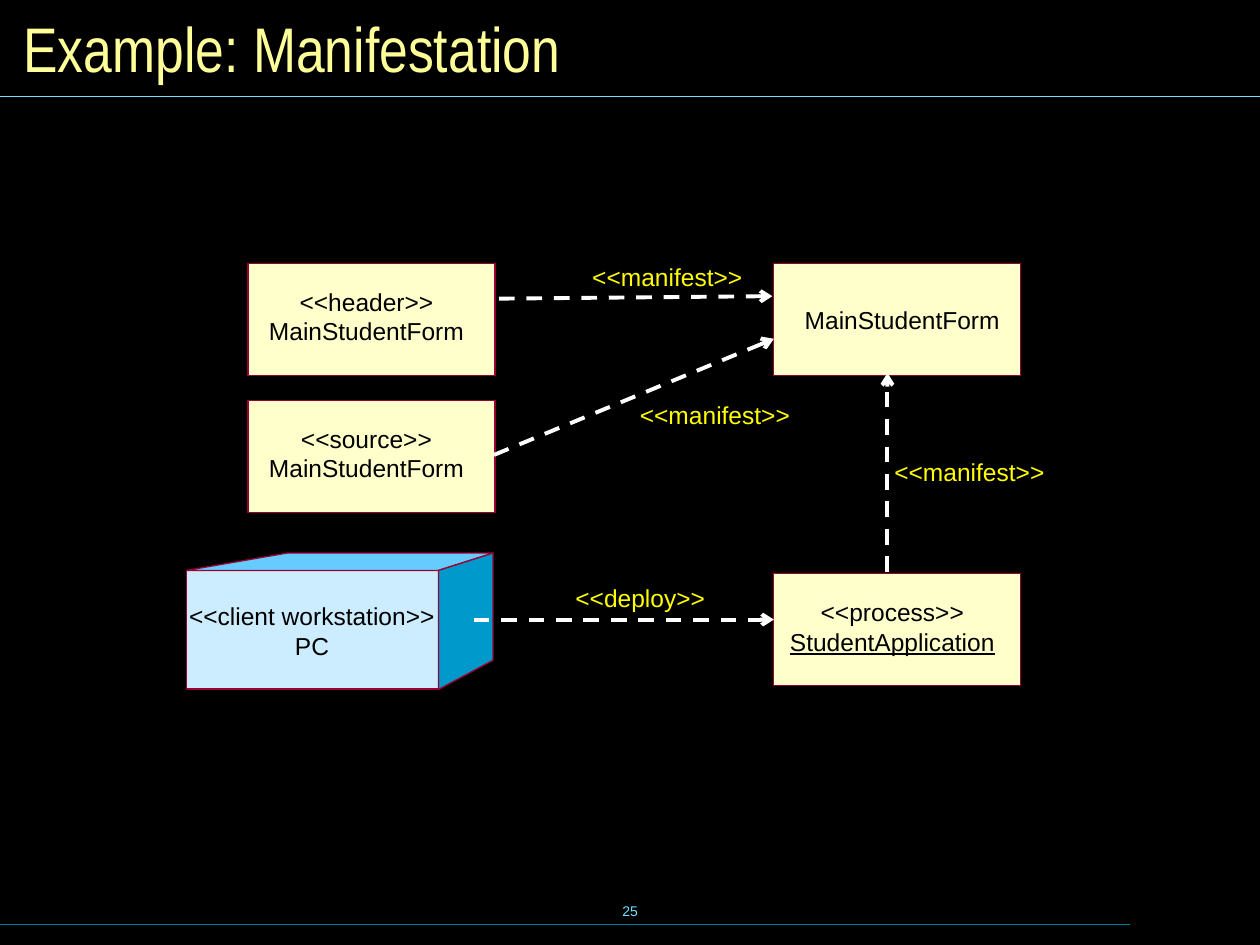
from pptx import Presentation
from pptx import util as u
from pptx.dml.color import RGBColor
from pptx.enum import dml, shapes, text
from pptx.oxml import ns
from lxml import etree

BLACK = RGBColor(0x00, 0x00, 0x00)
WHITE = RGBColor(0xFF, 0xFF, 0xFF)
YELLOW = RGBColor(0xFF, 0xFF, 0x00)
PALE_YELLOW = RGBColor(0xFF, 0xFF, 0x99)
CREAM = RGBColor(0xFF, 0xFF, 0xCC)
MAROON = RGBColor(0x99, 0x00, 0x33)
CYAN = RGBColor(0x73, 0xE1, 0xFF)
TEAL = RGBColor(0x00, 0x7E, 0x9F)
CUBE_FRONT = RGBColor(0xCC, 0xEC, 0xFF)
CUBE_TOP = RGBColor(0x66, 0xCC, 0xFF)
CUBE_SIDE = RGBColor(0x00, 0x99, 0xCC)

CENTER, LEFT = text.PP_ALIGN.CENTER, text.PP_ALIGN.LEFT
NO_MARGINS = dict.fromkeys(
    ["margin_left", "margin_top", "margin_right", "margin_bottom"], 0)


def write(shape, lines, frame_format, font_format, color, alignment):
    frame = shape.text_frame
    for name, value in frame_format.items():
        setattr(frame, name, value)
    frame.text = "\n".join(lines)
    for paragraph in frame.paragraphs:
        paragraph.alignment = alignment
        font = paragraph.runs[0].font
        for name, value in font_format.items():
            setattr(font, name, value)
        font.color.rgb = color


def paint(shape, color):
    shape.shadow.inherit = False
    shape.fill.solid()
    shape.fill.fore_color.rgb = color
    shape.line.color.rgb = MAROON
    shape.line.width = u.Pt(0)


presentation = Presentation()
presentation.slide_width, presentation.slide_height = u.Cm(25.4), u.Cm(19.05)
slide = presentation.slides.add_slide(presentation.slide_layouts[5])
slide.background.fill.solid()
slide.background.fill.fore_color.rgb = BLACK

title = slide.shapes.title
title_place = {"left": 0.22, "top": 0.22, "width": 24.99, "height": 1.47}
for name, value in title_place.items():
    setattr(title, name, u.Cm(value))
middle = {"vertical_anchor": text.MSO_ANCHOR.MIDDLE,
          "auto_size": text.MSO_AUTO_SIZE.NONE}
write(title, ["Example: Manifestation"], {**middle, "word_wrap": True},
      {"name": "Arial Narrow", "size": u.Pt(36), "bold": False},
      PALE_YELLOW, LEFT)

page_number = slide.shapes.add_textbox(
    u.Cm(8.68), u.Cm(17.73), u.Cm(8.05), u.Cm(1.27))
write(page_number, ["25"], {**middle, "word_wrap": False},
      {"name": "Arial", "size": u.Pt(8)}, CYAN, CENTER)

box_width, box_height = 4.98, 2.26
rectangles = [
    (3.76, 11.5, 5.08, 2.39, CUBE_FRONT),
    (15.6, 11.56, box_width, box_height, CREAM),
    (15.6, 5.31, box_width, box_height, CREAM),
    (5, 5.31, box_width, box_height, CREAM),
    (5, 8.08, box_width, box_height, CREAM),
]
for *place, color in rectangles:
    rectangle = slide.shapes.add_shape(
        shapes.MSO_SHAPE.RECTANGLE, *map(u.Cm, place))
    paint(rectangle, color)

cube_faces = [
    ([(3.76, 11.5), (5.79, 11.15), (9.94, 11.15), (8.84, 11.5)], CUBE_TOP),
    ([(8.84, 11.5), (9.94, 11.15), (9.94, 13.31), (8.84, 13.9)], CUBE_SIDE),
]
for corners, color in cube_faces:
    start, *others = [(u.Cm(x), u.Cm(y)) for x, y in corners]
    builder = slide.shapes.build_freeform(*start)
    builder.add_line_segments(others, close=True)
    paint(builder.convert_to_shape(), color)

rules_and_arrows = [
    (0, 18.63, 22.78, 18.63, TEAL, False),
    (0, 1.94, 25.4, 1.94, CYAN, False),
    (17.89, 11.53, 17.89, 7.52, WHITE, True),
    (10.06, 6.02, 15.57, 5.97, WHITE, True),
    (9.96, 9.17, 15.6, 6.83, WHITE, True),
    (9.55, 12.49, 15.6, 12.49, WHITE, True),
]
for *ends, color, is_arrow in rules_and_arrows:
    connector = slide.shapes.add_connector(
        shapes.MSO_CONNECTOR.STRAIGHT, *map(u.Cm, ends))
    connector.line.color.rgb = color
    connector.line.width = u.Pt(2.25 if is_arrow else 0.75)
    if is_arrow:
        connector.line.dash_style = dml.MSO_LINE.DASH
        etree.SubElement(connector.line._get_or_add_ln(),
                         ns.qn("a:tailEnd"), type="arrow")
    etree.SubElement(connector._element.spPr, ns.qn("a:effectLst"))

line_height = 0.59
captions = [
    (3.69, 12.12, 5.2, ["<<client workstation>>", "PC"], BLACK, CENTER),
    (15.87, 12.04, 4.24, ["<<process>>", "StudentApplication"], BLACK, CENTER),
    (16.17, 6.14, 4.04, ["MainStudentForm"], BLACK, CENTER),
    (5.37, 5.78, 4.04, ["<<header>>", "MainStudentForm"], BLACK, CENTER),
    (5.37, 8.54, 4.04, ["<<source>>", "MainStudentForm"], BLACK, CENTER),
    (11.6, 11.76, 2.8, ["<<deploy>>"], YELLOW, LEFT),
    (18.03, 9.22, 3.2, ["<<manifest>>"], YELLOW, LEFT),
    (11.94, 5.28, 3.2, ["<<manifest>>"], YELLOW, LEFT),
    (12.9, 8.06, 3.2, ["<<manifest>>"], YELLOW, LEFT),
]
caption_frame = {**NO_MARGINS, "word_wrap": False,
                 "auto_size": text.MSO_AUTO_SIZE.SHAPE_TO_FIT_TEXT}
for left, top, width, lines, color, alignment in captions:
    caption = slide.shapes.add_textbox(
        u.Cm(left), u.Cm(top), u.Cm(width), u.Cm(line_height * len(lines)))
    write(caption, lines, caption_frame,
          {"name": "Arial", "size": u.Pt(14)}, color, alignment)
    if "StudentApplication" in lines:
        caption.text_frame.paragraphs[1].runs[0].font.underline = True

presentation.save("out.pptx")
